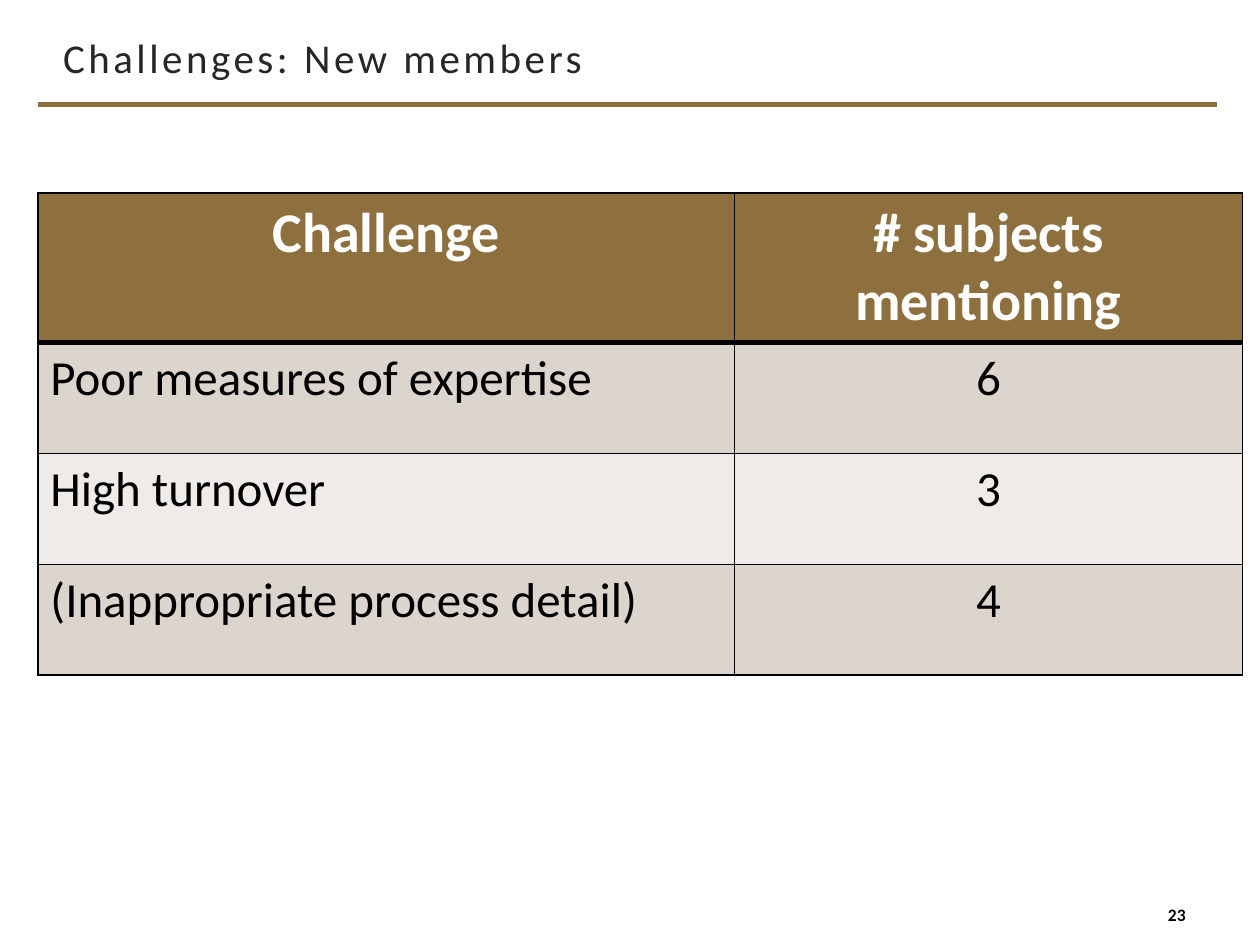
"""Build the slide on challenges with new members."""
from dataclasses import dataclass

from lxml.etree import SubElement
from pptx import Presentation
from pptx.dml.color import RGBColor
from pptx.enum.shapes import MSO_CONNECTOR, MSO_SHAPE
from pptx.enum.text import MSO_ANCHOR, PP_ALIGN
from pptx.oxml.ns import qn
from pptx.slide import Slide
from pptx.table import _Cell
from pptx.util import Pt


@dataclass(frozen=True)
class Theme:
    """Colours and type sizes of the slide."""
    font: str = "Calibri"
    gold: str = "8E6F3E"
    dark_band: str = "DBD5CE"
    light_band: str = "EEEBE8"
    title_ink: str = "262626"
    black: str = "000000"
    white: str = "FFFFFF"
    title_size: float = 23.4
    header_size: float = 32
    body_size: float = 28
    number_size: float = 10


@dataclass(frozen=True)
class Row:
    """One table row with its look."""
    challenge: str
    mentions: str
    fill: str
    height: float = 63.4
    size: float = Theme.body_size
    ink: str = Theme.black
    bold: bool = False
    challenge_align: PP_ALIGN = PP_ALIGN.LEFT
    top_border: float = 1
    bottom_border: float = 1


THEME = Theme()
LEFT_EDGE = 21.6
COLUMN_WIDTHS = (398.2, 290.2)
ROWS = (
    Row("Challenge", "# subjects\nmentioning", THEME.gold, 85, THEME.header_size,
        THEME.white, True, PP_ALIGN.CENTER, bottom_border=3),
    Row("Poor measures of expertise", "6", THEME.dark_band, top_border=3),
    Row("High turnover", "3", THEME.light_band),
    Row("(Inappropriate process detail)", "4", THEME.dark_band),
)


def style_paragraphs(frame, size: float, ink: str, bold: bool, align: PP_ALIGN) -> None:
    """Format every paragraph of a text frame."""
    for paragraph in frame.paragraphs:
        paragraph.alignment = align
        paragraph.font.name = THEME.font
        paragraph.font.size = Pt(size)
        paragraph.font.bold = bold
        paragraph.font.color.rgb = RGBColor.from_string(ink)


def set_borders(cell: _Cell, top: float, bottom: float) -> None:
    """Draw black borders round a cell."""
    properties = cell._tc.get_or_add_tcPr()
    widths = {"a:lnL": 1, "a:lnR": 1, "a:lnT": top, "a:lnB": bottom}
    for position, (tag, width) in enumerate(widths.items()):
        border = SubElement(properties, qn(tag), w=str(Pt(width)))
        SubElement(SubElement(border, qn("a:solidFill")), qn("a:srgbClr"), val=THEME.black)
        properties.insert(position, border)


def add_title(slide: Slide) -> None:
    """Place the title and the rule under it."""
    title = slide.shapes.title
    title.left, title.top, title.width, title.height = Pt(LEFT_EDGE), Pt(9.4), Pt(633.6), Pt(50.4)
    frame = title.text_frame
    frame.text = "Challenges: New members"
    frame.word_wrap = True
    frame.vertical_anchor = MSO_ANCHOR.MIDDLE
    frame.margin_left = frame.margin_right = frame.margin_top = frame.margin_bottom = Pt(14.4)
    style_paragraphs(frame, THEME.title_size, THEME.title_ink, False, PP_ALIGN.LEFT)
    heading = frame.paragraphs[0]
    heading.line_spacing = 0.9
    for run in heading.runs:
        run.font._element.set("spc", "200")

    rule = slide.shapes.add_connector(
        MSO_CONNECTOR.STRAIGHT, Pt(LEFT_EDGE), Pt(59.6), Pt(695.5), Pt(59.6))
    rule.line.color.rgb = RGBColor.from_string(THEME.gold)
    rule.line.width = Pt(3)
    SubElement(rule._element.spPr, qn("a:effectLst"))


def add_challenges(slide: Slide) -> None:
    """Place the table of challenges."""
    table = slide.shapes.add_table(
        len(ROWS), len(COLUMN_WIDTHS), Pt(LEFT_EDGE), Pt(110.2),
        Pt(sum(COLUMN_WIDTHS)), Pt(sum(row.height for row in ROWS))).table
    for column, width in zip(table.columns, COLUMN_WIDTHS):
        column.width = Pt(width)
    for index, row in enumerate(ROWS):
        table.rows[index].height = Pt(row.height)
        contents = ((row.challenge, row.challenge_align), (row.mentions, PP_ALIGN.CENTER))
        for cell, (text, align) in zip(table.rows[index].cells, contents):
            cell.text = text
            cell.fill.solid()
            cell.fill.fore_color.rgb = RGBColor.from_string(row.fill)
            style_paragraphs(cell.text_frame, row.size, row.ink, row.bold, align)
            set_borders(cell, row.top_border, row.bottom_border)


def add_page_number(slide: Slide) -> None:
    """Place the page number in its unfilled circle."""
    page_number = slide.shapes.add_shape(
        MSO_SHAPE.OVAL, Pt(658.1), Pt(508.3), Pt(28.8), Pt(28.8))
    page_number.shadow.inherit = False
    page_number.fill.background()
    page_number.line.fill.background()
    frame = page_number.text_frame
    frame.text = "23"
    frame.word_wrap = False
    frame.vertical_anchor = MSO_ANCHOR.MIDDLE
    frame.margin_left = frame.margin_right = Pt(1.4)
    frame.margin_top = frame.margin_bottom = Pt(3.6)
    style_paragraphs(frame, THEME.number_size, THEME.black, True, PP_ALIGN.CENTER)


def main() -> None:
    """Build and save the presentation."""
    presentation = Presentation()
    presentation.slide_width, presentation.slide_height = Pt(720), Pt(540)
    slide = presentation.slides.add_slide(presentation.slide_layouts.get_by_name("Title Only"))
    add_title(slide)
    add_challenges(slide)
    add_page_number(slide)
    presentation.save("out.pptx")


if __name__ == "__main__":
    main()
